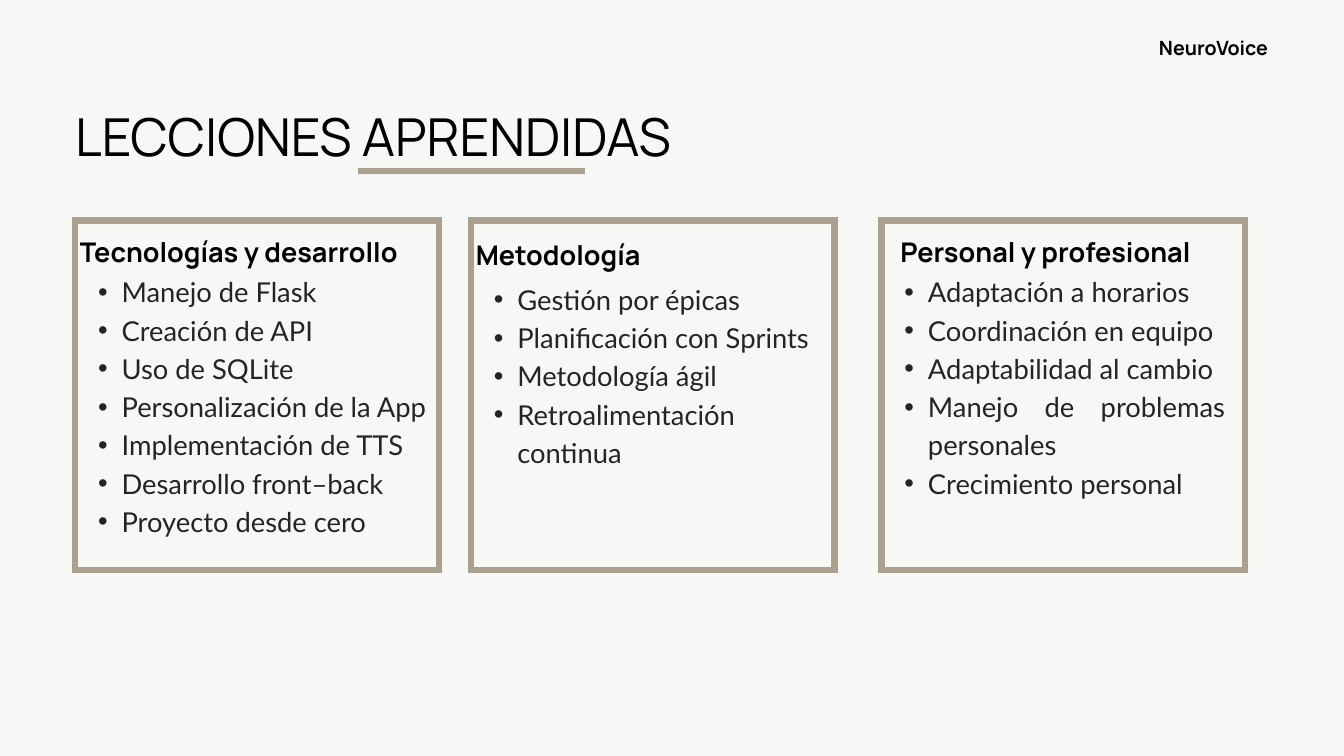
from lxml.etree import SubElement
from pptx import Presentation
from pptx.dml.color import RGBColor
from pptx.enum.shapes import MSO_SHAPE as Shape
from pptx.enum.text import MSO_AUTO_SIZE as AutoSize, PP_ALIGN as Align
from pptx.oxml.ns import qn
from pptx.util import Pt

COLORS = {"paper": "F7F7F6", "taupe": "ACA18F", "heading": "000000", "body": "242424"}
CARD_TOP, CARD_WIDTH, CARD_HEIGHT = 236.2, 389.5, 374.4
LESSONS = [
    {
        "left": 80.6,
        "heading": ("Tecnologías y desarrollo", 85.7, 247, 368.6, Align.JUSTIFY),
        "list_top": 289.4,
        "list_width": 435.6,
        "items": [
            "Manejo de Flask",
            "Creación de API",
            "Uso de SQLite",
            "Personalización de la App",
            "Implementación de TTS",
            "Desarrollo front–back",
            "Proyecto desde cero",
        ],
    },
    {
        "left": 504.7,
        "heading": ("Metodología", 509.8, 249.8, 306.7, Align.LEFT),
        "list_top": 297.4,
        "list_width": 384.5,
        "items": [
            "Gestión por épicas",
            "Planificación con Sprints",
            "Metodología ágil",
            "Retroalimentación continua",
        ],
    },
    {
        "left": 944.6,
        "heading": ("Personal y profesional", 944.6, 247, 351.4, Align.CENTER),
        "list_top": 289.4,
        "list_width": 367.9,
        "items": [
            "Adaptación a horarios",
            "Coordinación en equipo",
            "Adaptabilidad al cambio",
            "Manejo de problemas personales",
            "Crecimiento personal",
        ],
    },
]


def color(name):
    """Return the named palette colour."""
    return RGBColor.from_string(COLORS[name])


def add_frame(slide, left, top, width, height):
    """Add an empty text box without margins and return its text frame."""
    frame = slide.shapes.add_textbox(Pt(left), Pt(top), Pt(width), Pt(height)).text_frame
    frame.margin_left = frame.margin_right = frame.margin_top = frame.margin_bottom = 0
    frame.word_wrap = True
    frame.auto_size = AutoSize.SHAPE_TO_FIT_TEXT
    return frame


def write(paragraph, text, size, spacing, align, font="Manrope", bold=False, ink="heading"):
    """Write one styled run into a paragraph."""
    paragraph.alignment = align
    paragraph.line_spacing = Pt(spacing)
    run = paragraph.add_run()
    run.text = text
    run.font.name = font
    run.font.size = Pt(size)
    run.font.bold = bold
    run.font.color.rgb = color(ink)


def add_heading(slide, text, left, top, width, align):
    """Add the bold heading of a card."""
    frame = add_frame(slide, left, top, width, 41)
    write(frame.paragraphs[0], text, 29, 40.6, align, bold=True)


def add_bullets(slide, items, left, top, width):
    """Add a justified bullet list."""
    frame = add_frame(slide, left, top, width, 41 * len(items))
    for index, item in enumerate(items):
        paragraph = frame.add_paragraph() if index else frame.paragraphs[0]
        paragraph.level = 1
        properties = paragraph._p.get_or_add_pPr()
        properties.set("marL", str(Pt(49.7)))
        properties.set("indent", str(Pt(-25.2)))
        SubElement(properties, qn("a:buFont")).set("typeface", "Arial")
        SubElement(properties, qn("a:buChar")).set("char", "•")
        write(paragraph, item, 29.3, 41, Align.JUSTIFY, font="Lato", ink="body")


def add_box(slide, left, top, width, height):
    """Add a plain rectangle without shadow."""
    box = slide.shapes.add_shape(Shape.RECTANGLE, Pt(left), Pt(top), Pt(width), Pt(height))
    box.shadow.inherit = False
    return box


def add_underline(slide):
    """Add the solid bar under the title."""
    bar = add_box(slide, 383.6, 180, 243, 6.5)
    bar.fill.solid()
    bar.fill.fore_color.rgb = color("taupe")
    bar.line.fill.background()


def add_border(slide, left):
    """Add the square-cornered outline of a card."""
    border = add_box(slide, left, CARD_TOP, CARD_WIDTH, CARD_HEIGHT)
    border.fill.background()
    border.line.color.rgb = color("taupe")
    border.line.width = Pt(6.75)
    SubElement(border.line._get_or_add_ln(), qn("a:miter")).set("lim", "800000")


def main():
    """Build the lessons-learned slide."""
    deck = Presentation()
    deck.slide_width, deck.slide_height = Pt(1440), Pt(810)
    slide = deck.slides.add_slide(deck.slide_layouts[6])
    slide.background.fill.solid()
    slide.background.fill.fore_color.rgb = color("paper")

    add_underline(slide)
    title = add_frame(slide, 80.6, 100.8, 779, 79.2)
    write(title.paragraphs[0], "LECCIONES APRENDIDAS", 56, 78.4, Align.LEFT)
    project = add_frame(slide, 1098, 34.6, 260.6, 29.5)
    write(project.paragraphs[0], "NeuroVoice", 21, 29.4, Align.RIGHT, bold=True)

    for lesson in LESSONS:
        add_heading(slide, *lesson["heading"])
        add_bullets(slide, lesson["items"], lesson["left"], lesson["list_top"], lesson["list_width"])
        add_border(slide, lesson["left"])

    deck.save("out.pptx")


if __name__ == "__main__":
    main()
